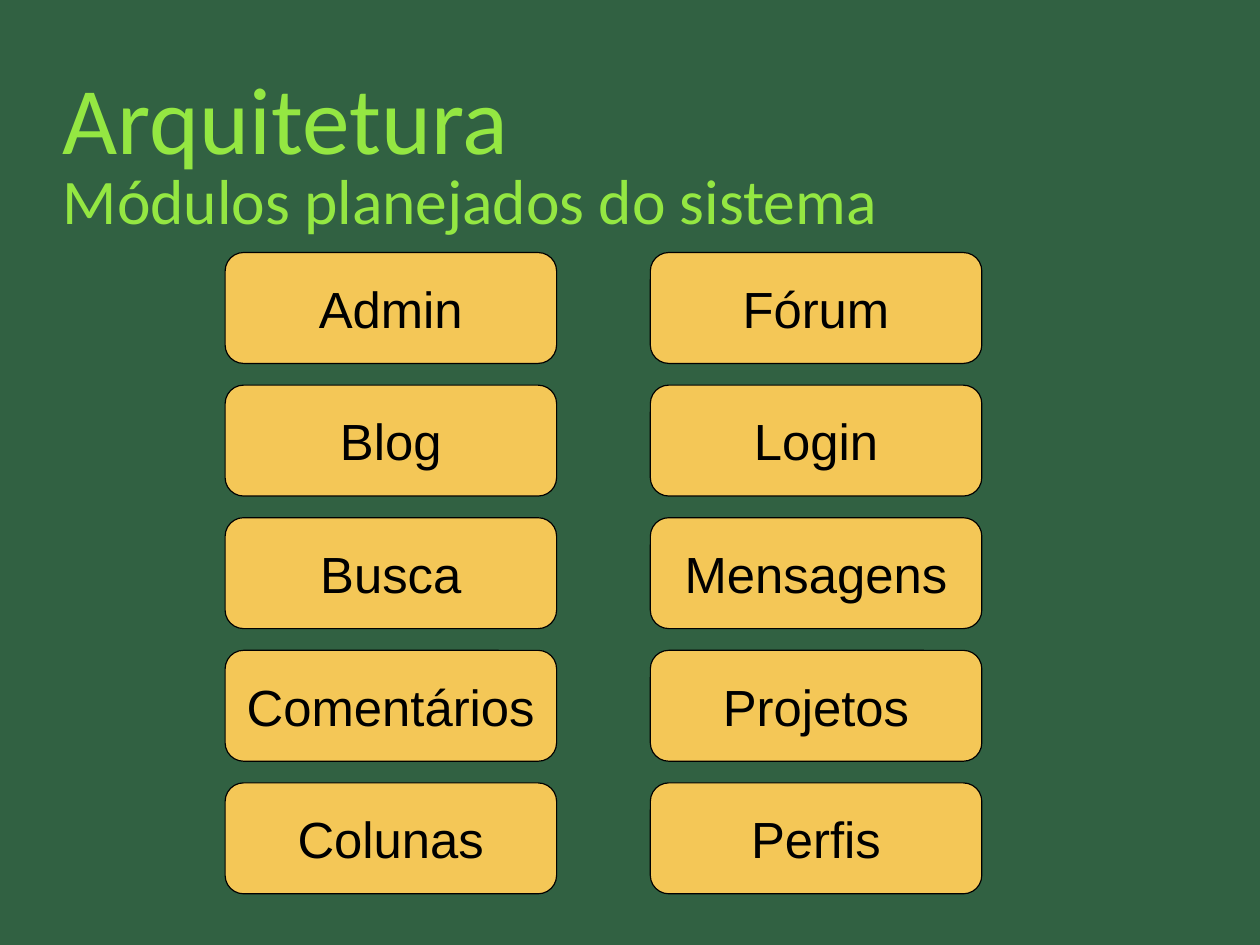
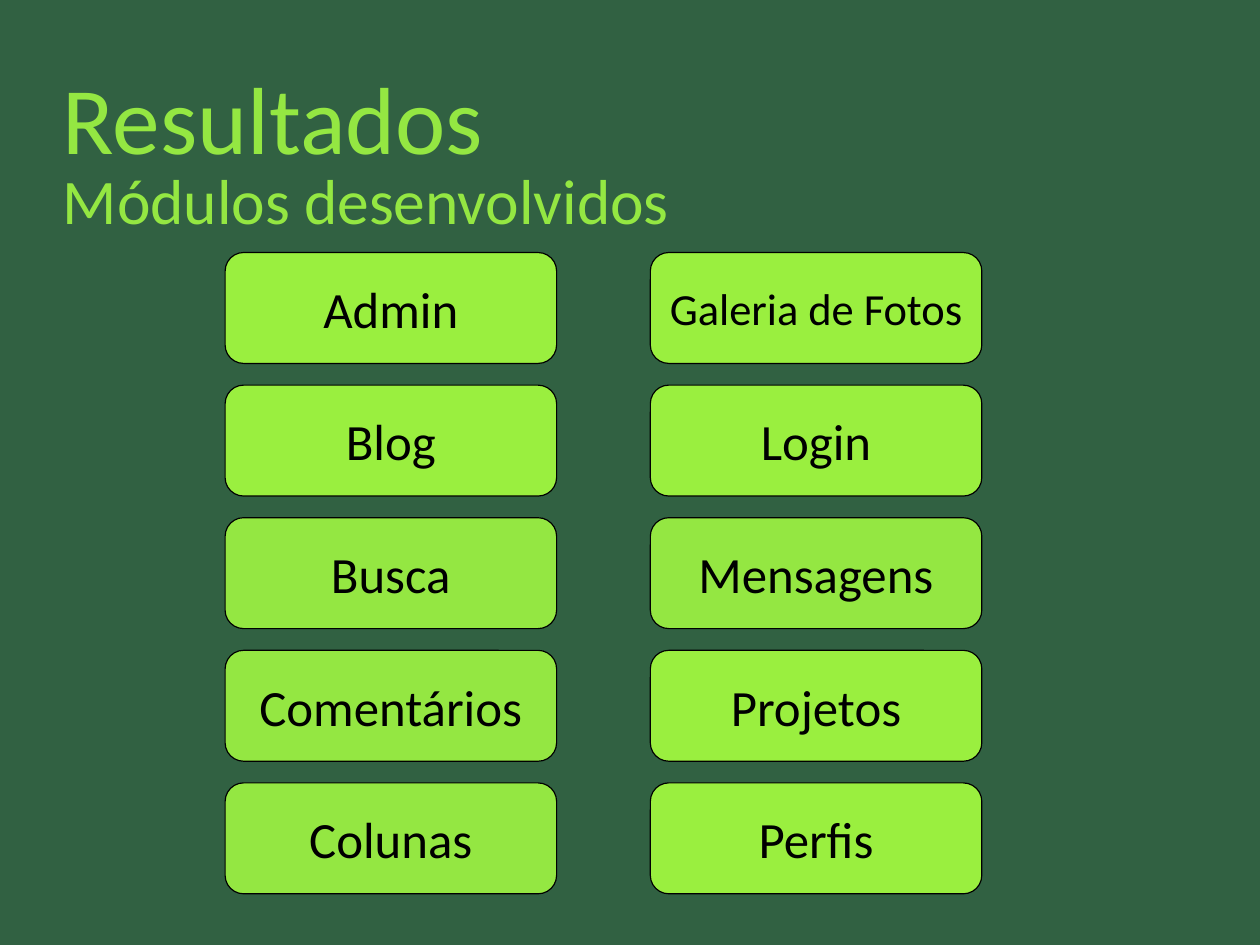
from pptx import Presentation
from pptx.dml.color import RGBColor
from pptx.enum.shapes import MSO_SHAPE
from pptx.enum.text import MSO_ANCHOR, PP_ALIGN
from pptx.util import Inches, Pt

# Slide size: 28 by 21 cm
CM_PER_INCH = 2.54
SLIDE_WIDTH = Inches(28 / CM_PER_INCH)
SLIDE_HEIGHT = Inches(21 / CM_PER_INCH)

# Shared style
DARK_GREEN = RGBColor(0x31, 0x61, 0x42)
GREEN = RGBColor(0x94, 0xE7, 0x42)
LIME = RGBColor(0x9A, 0xEF, 0x3F)
AMBER = RGBColor(0xF4, 0xC7, 0x57)
BLACK = RGBColor(0, 0, 0)
HEADING_FONT = "Calibri"

# Module grid, in inches
GRID_LEFT, GRID_TOP = 1.97, 2.21
COLUMN_STEP, ROW_STEP = 3.72, 1.16
MODULE_WIDTH, MODULE_HEIGHT = 2.9, 0.97

# Modules, one list per column
PLANNED = [
    ["Admin", "Blog", "Busca", "Comentários", "Colunas"],
    ["Fórum", "Login", "Mensagens", "Projetos", "Perfis"],
]
DEVELOPED = [
    ["Admin", "Blog", "Busca", "Comentários", "Colunas"],
    ["Galeria de Fotos", "Login", "Mensagens", "Projetos", "Perfis"],
]
GREEN_MODULES = {"Busca", "Comentários", "Colunas", "Mensagens"}
LONG_NAME = 12


def style_font(paragraph, name, size, color):
    paragraph.font.name = name
    paragraph.font.size = Pt(size)
    paragraph.font.color.rgb = color


def add_heading(slide, text, top, height, size):
    heading = slide.shapes.add_textbox(
        Inches(0.55), Inches(top), Inches(9.92), Inches(height))
    frame = heading.text_frame
    frame.word_wrap = True
    frame.vertical_anchor = MSO_ANCHOR.MIDDLE
    frame.margin_left = frame.margin_right = 0
    frame.margin_top = frame.margin_bottom = 0
    frame.text = text
    style_font(frame.paragraphs[0], HEADING_FONT, size, GREEN)


def add_module(slide, name, column, row, fill, font):
    module = slide.shapes.add_shape(
        MSO_SHAPE.ROUNDED_RECTANGLE,
        Inches(GRID_LEFT + column * COLUMN_STEP),
        Inches(GRID_TOP + row * ROW_STEP),
        Inches(MODULE_WIDTH), Inches(MODULE_HEIGHT))
    module.shadow.inherit = False
    module.fill.solid()
    module.fill.fore_color.rgb = fill
    module.line.color.rgb = BLACK
    module.line.width = Pt(0)
    frame = module.text_frame
    frame.word_wrap = True
    frame.vertical_anchor = MSO_ANCHOR.MIDDLE
    frame.text = name
    label = frame.paragraphs[0]
    label.alignment = PP_ALIGN.CENTER
    style_font(label, font, 28 if len(name) > LONG_NAME else 32, BLACK)


def add_module_slide(prs, title, subtitle, columns, fill_for, font):
    slide = prs.slides.add_slide(prs.slide_layouts[6])
    add_heading(slide, title, 0.33, 1.38, 60)
    add_heading(slide, subtitle, 1.22, 1.04, 40)
    for column, names in enumerate(columns):
        for row, name in enumerate(names):
            add_module(slide, name, column, row, fill_for(name), font)


def planned_fill(name):
    return AMBER


def developed_fill(name):
    return GREEN if name in GREEN_MODULES else LIME


def main():
    prs = Presentation()
    prs.slide_width, prs.slide_height = SLIDE_WIDTH, SLIDE_HEIGHT

    # Background shared by all slides
    background = prs.slide_master.background.fill
    background.solid()
    background.fore_color.rgb = DARK_GREEN

    add_module_slide(prs, "Arquitetura", "Módulos planejados do sistema",
                     PLANNED, planned_fill, "Arial")
    add_module_slide(prs, "Resultados", "Módulos desenvolvidos",
                     DEVELOPED, developed_fill, "Calibri")
    prs.save("out.pptx")


if __name__ == "__main__":
    main()
